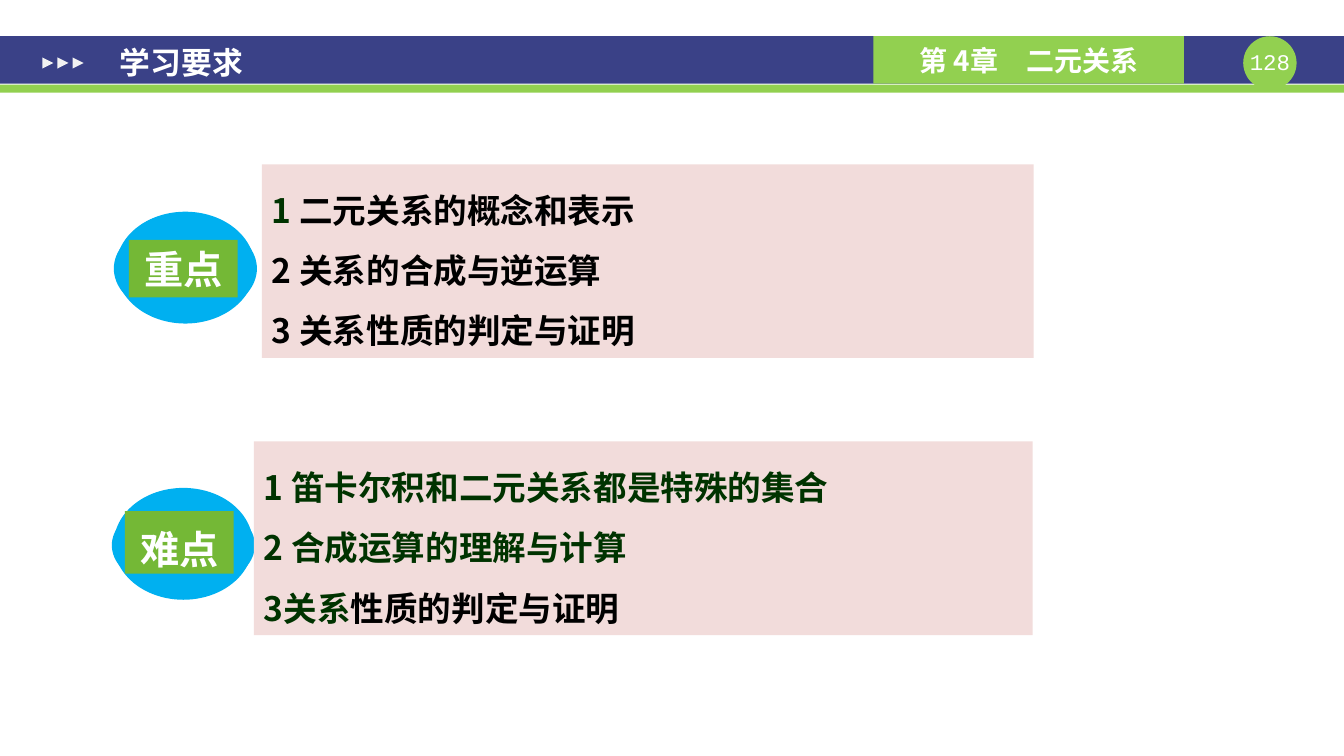
from lxml import etree
from pptx import Presentation
from pptx import util as u
from pptx.dml.color import RGBColor
from pptx.enum import shapes, text
from pptx.oxml.ns import qn

SHAPE = shapes.MSO_SHAPE
MID = text.MSO_ANCHOR.MIDDLE
CENTER = text.PP_ALIGN.CENTER
COLORS = {
    "navy": "3A4187", "lime": "92D050", "leaf": "74B836", "sky": "00B0F0",
    "pink": "F2DCDB", "pale": "F2F2F2", "white": "FFFFFF",
    "black": "000000", "forest": "003300",
}


class Deck:
    font = "Noto Sans CJK SC"

    def __init__(self, slide):
        self.slide = slide

    def color(self, name):
        return RGBColor.from_string(COLORS[name])

    def shape(self, kind, box, fill, turn=0):
        item = self.slide.shapes.add_shape(kind, *map(u.Inches, box))
        item.shadow.inherit = False
        item.fill.solid()
        item.fill.fore_color.rgb = self.color(fill)
        item.line.fill.background()
        item.rotation = turn
        return item

    def label(self, box, inset=(0, 0)):
        item = self.slide.shapes.add_textbox(*map(u.Inches, box))
        frame = item.text_frame
        frame.margin_left = frame.margin_right = u.Inches(inset[0])
        frame.margin_top = frame.margin_bottom = u.Inches(inset[1])
        return item

    def letter(self, item, lines, size, align=None, space=None,
               anchor=text.MSO_ANCHOR.TOP, font=None, bold=True):
        """Fill an item with lines, each a list of (words, color) runs."""
        frame = item.text_frame
        frame.word_wrap = True
        frame.vertical_anchor = anchor
        for i, line in enumerate(lines):
            para = frame.add_paragraph() if i else frame.paragraphs[0]
            para.alignment = align or text.PP_ALIGN.LEFT
            if space:
                para.line_spacing = space
            for words, color in line:
                run = para.add_run()
                run.text = words
                run.font.size = u.Pt(size)
                run.font.bold = bold
                run.font.color.rgb = self.color(color)
                run.font.name = font or self.font
                east = etree.SubElement(run.font._element, qn("a:ea"))
                east.set("typeface", font or self.font)

    def header(self, title, chapter, page):
        self.shape(SHAPE.RECTANGLE, (0, 0.36, 13.34, 0.47), "navy")
        self.shape(SHAPE.RECTANGLE, (0, 0.84, 13.34, 0.08), "lime")
        self.shape(SHAPE.OVAL, (12.34, 0.36, 0.53, 0.53), "lime")
        number = self.label((12.34, 0.48, 0.53, 0.27))
        self.letter(number, [[(page, "white")]], 16, CENTER,
                    font="Courier New", bold=False)
        tab = self.shape(SHAPE.RECTANGLE, (8.67, 0.36, 3.08, 0.47), "lime")
        self.letter(tab, [[(chapter, "white")]], 20, CENTER, anchor=MID)
        for i in range(3):
            self.shape(SHAPE.ISOSCELES_TRIANGLE,
                       (0.42 + 0.15 * i, 0.57, 0.11, 0.11), "pale", 90)
        head = self.label((1.06, 0.4, 5.59, 0.44), (0.13, 0.07))
        self.letter(head, [[(title, "white")]], 22, anchor=MID)

    def badge(self, left, top, first, word, box, space=None):
        """Stack ovals behind a word; first is the top and height of the widest."""
        ovals = [(0, first[0], 1.42, first[1]), (0.02, 0, 1.38, 1.11),
                 (0.03, 0.01, 1.34, 1.08), (0.05, 0.01, 1.28, 1.01),
                 (0.12, 0.04, 1.14, 0.82)]
        for x, y, wide, high in ovals:
            self.shape(SHAPE.OVAL, (left + x, top + y, wide, high), "sky")
        plate = self.shape(SHAPE.RECTANGLE, box, "leaf")
        self.letter(plate, [[(word, "white")]], 28, CENTER, space)

    def panel(self, box, lines):
        item = self.shape(SHAPE.RECTANGLE, box, "pink")
        self.letter(item, lines, 24, space=1.5)


def main():
    show = Presentation()
    show.slide_width, show.slide_height = u.Inches(13.34), u.Inches(7.5)
    deck = Deck(show.slides.add_slide(show.slide_layouts[6]))
    deck.header("学习要求", "第 4章　二元关系", "128")

    deck.badge(1.13, 2.1, (0.08, 0.97), "重点", (1.28, 2.38, 1.08, 0.57))
    deck.panel((2.6, 1.63, 7.66, 1.92), [
        [("1 ", "forest"), ("二元关系的概念和表示", "black")],
        [("2 关系的合成与逆运算", "black")],
        [("3 关系性质的判定与证明", "black")],
    ])

    deck.badge(1.11, 4.84, (0.12, 0.9), "难点", (1.24, 5.07, 1.08, 0.62), 1.2)
    deck.panel((2.52, 4.38, 7.73, 1.92), [
        [("1 笛卡尔积和二元关系都是特殊的集合", "forest")],
        [("2 合成运算的理解与计算", "forest")],
        [("3关系", "forest"), ("性质的判定与证明", "black")],
    ])
    show.save("out.pptx")


if __name__ == "__main__":
    main()
